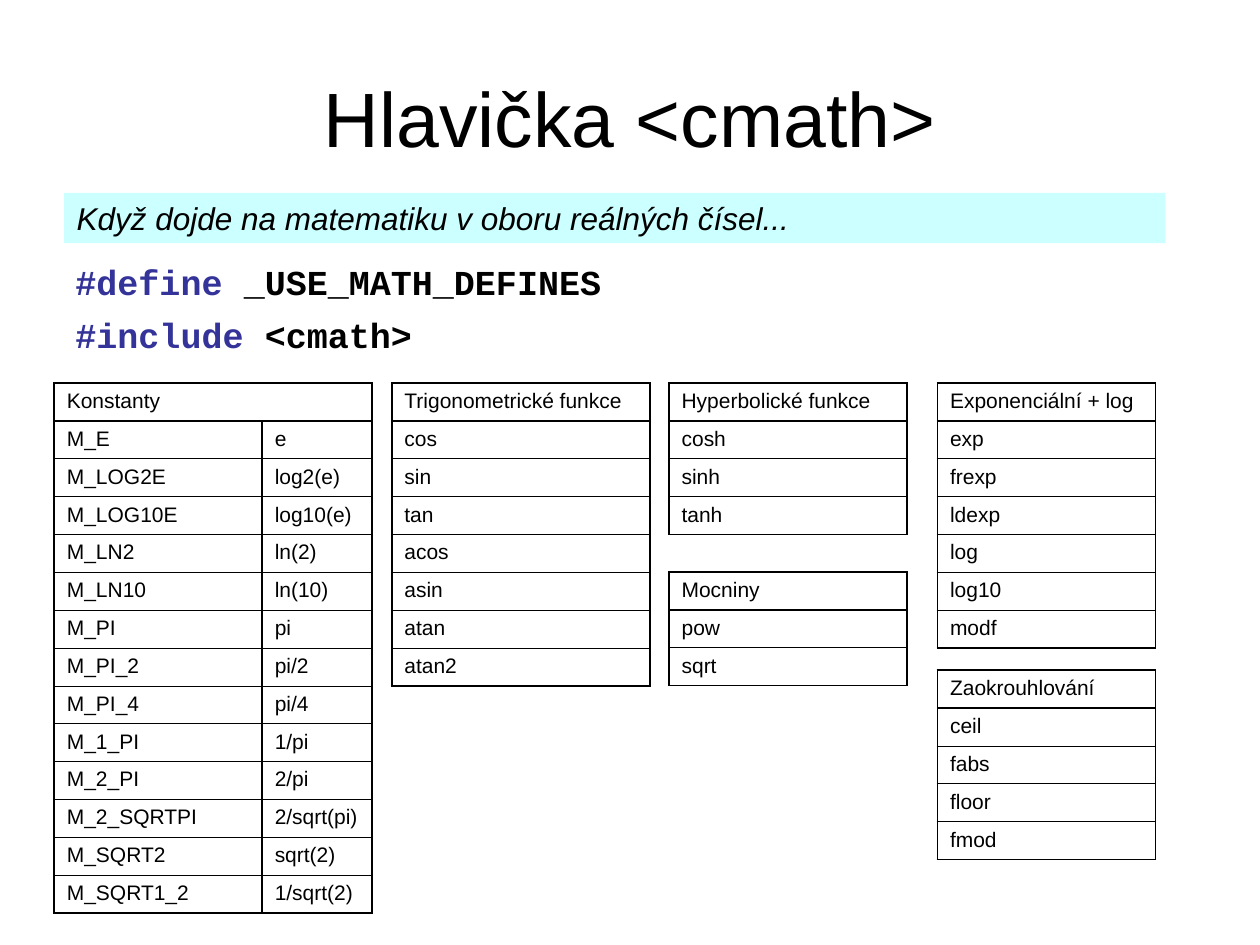
import pptx
import pptx.dml.color
import pptx.enum.shapes
import pptx.enum.text
import pptx.oxml
import pptx.oxml.ns
import pptx.util

Pt = pptx.util.Pt
ANCHOR = pptx.enum.text.MSO_ANCHOR
ALIGN = pptx.enum.text.PP_ALIGN
HUES = {"ink": "000000", "key": "333399", "band": "CCFFFF"}
FORMS = {
    "title": {"name": "Arial", "size": Pt(44)},
    "note": {"name": "Arial", "size": Pt(18), "italic": True},
    "code": {"name": "Courier New", "size": Pt(20), "bold": True},
    "cell": {"name": "Arial", "size": Pt(12)},
}
THICK, THIN, ROW = 1.08, 0.45, 21.6
TOP = 218.9
MID, MIDW = 382.3, 136.1
END, ENDW = 535.7, 124.6


class Deck:
    """Holds the style and the current slide, and draws each kind of element."""

    def __init__(self, slide):
        self.slide = slide

    def color(self, hue):
        return pptx.dml.color.RGBColor.from_string(HUES[hue])

    def put(self, item, values):
        for key, value in values.items():
            setattr(item, key, value)

    def runs(self, para, parts, form):
        for text, hue in parts:
            run = para.add_run()
            run.text = text
            self.put(run.font, FORMS[form])
            run.font.color.rgb = self.color(hue)

    def fill(self, frame, lines, form, values):
        self.put(frame, {"word_wrap": True, **values})
        for i, parts in enumerate(lines):
            para = frame.add_paragraph() if i else frame.paragraphs[0]
            para.alignment = ALIGN.CENTER if form == "title" else ALIGN.LEFT
            if i:
                para.space_before = Pt(6)
            self.runs(para, parts, form)

    def text(self, box, lines, form, **values):
        shape = self.slide.shapes.add_textbox(*map(Pt, box))
        self.fill(shape.text_frame, lines, form, values)

    def rect(self, box, hue, lines, form, **values):
        kind = pptx.enum.shapes.MSO_SHAPE.RECTANGLE
        shape = self.slide.shapes.add_shape(kind, *map(Pt, box))
        shape.shadow.inherit = False
        shape.fill.solid()
        shape.fill.fore_color.rgb = self.color(hue)
        shape.line.fill.background()
        self.fill(shape.text_frame, lines, form, values)

    def edge(self, cell, side, width):
        cell._tc.get_or_add_tcPr().append(pptx.oxml.parse_xml(
            f'<a:ln{side} {pptx.oxml.ns.nsdecls("a")} w="{int(Pt(width))}">'
            f'<a:solidFill><a:srgbClr val="{HUES["ink"]}"/></a:solidFill>'
            f'</a:ln{side}>'))

    def table(self, left, top, cols, head, rows):
        grid = [(head,)] + rows
        last = len(rows)
        size = (left, top, sum(cols), ROW * len(grid))
        table = self.slide.shapes.add_table(
            len(grid), len(cols), *map(Pt, size)).table
        self.put(table, {"first_row": False, "horz_banding": False})
        for col, width in zip(table.columns, cols):
            col.width = Pt(width)
        for r, texts in enumerate(grid):
            table.rows[r].height = Pt(ROW)
            over = THICK if r < 2 else THIN
            under = THICK if r in (0, last) else THIN
            for c in range(len(cols)):
                cell = table.cell(r, c)
                for side, width in zip("LRTB", (THICK, THICK, over, under)):
                    self.edge(cell, side, width)
                cell.fill.background()
                if c < len(texts):
                    self.runs(cell.text_frame.paragraphs[0],
                              [(texts[c], "ink")], "cell")
        if len(cols) > 1:
            table.cell(0, 0).merge(table.cell(0, len(cols) - 1))

    def names(self, left, top, width, head, words):
        self.table(left, top, [width], head, [(w,) for w in words.split()])


def main():
    show = pptx.Presentation()
    show.slide_width, show.slide_height = Pt(720), Pt(540)
    deck = Deck(show.slides.add_slide(show.slide_layouts[6]))
    deck.text((36, 21.6, 648, 90), [[("Hlavička <cmath>", "ink")]],
              "title", vertical_anchor=ANCHOR.MIDDLE)
    deck.text((36, 145.5, 318.3, 73.4), [
        [("#define ", "key"), ("_USE_MATH_DEFINES", "ink")],
        [("#include", "key"), (" <cmath>", "ink")],
    ], "code")
    deck.rect((36.7, 110.2, 629.3, 28.8), "band",
              [[("Když dojde na matematiku v oboru reálných čísel...", "ink")]],
              "note", vertical_anchor=ANCHOR.TOP)
    deck.names(MID, TOP, MIDW, "Hyperbolické funkce", "cosh sinh tanh")
    deck.names(223.9, TOP, 147.6, "Trigonometrické funkce",
               "cos sin tan acos asin atan atan2")
    deck.names(END, TOP, ENDW, "Exponenciální + log",
               "exp frexp ldexp log log10 modf")
    deck.names(MID, TOP + 5 * ROW, MIDW, "Mocniny", "pow sqrt")
    deck.names(END, 383, ENDW, "Zaokrouhlování", "ceil fabs floor fmod")
    deck.table(31, TOP, [118.8, 62.6], "Konstanty", [
        ("M_E", "e"), ("M_LOG2E", "log2(e)"), ("M_LOG10E", "log10(e)"),
        ("M_LN2", "ln(2)"), ("M_LN10", "ln(10)"), ("M_PI", "pi"),
        ("M_PI_2", "pi/2"), ("M_PI_4", "pi/4"), ("M_1_PI", "1/pi"),
        ("M_2_PI", "2/pi"), ("M_2_SQRTPI", "2/sqrt(pi)"),
        ("M_SQRT2", "sqrt(2)"), ("M_SQRT1_2", "1/sqrt(2)"),
    ])
    show.save("out.pptx")


if __name__ == "__main__":
    main()
